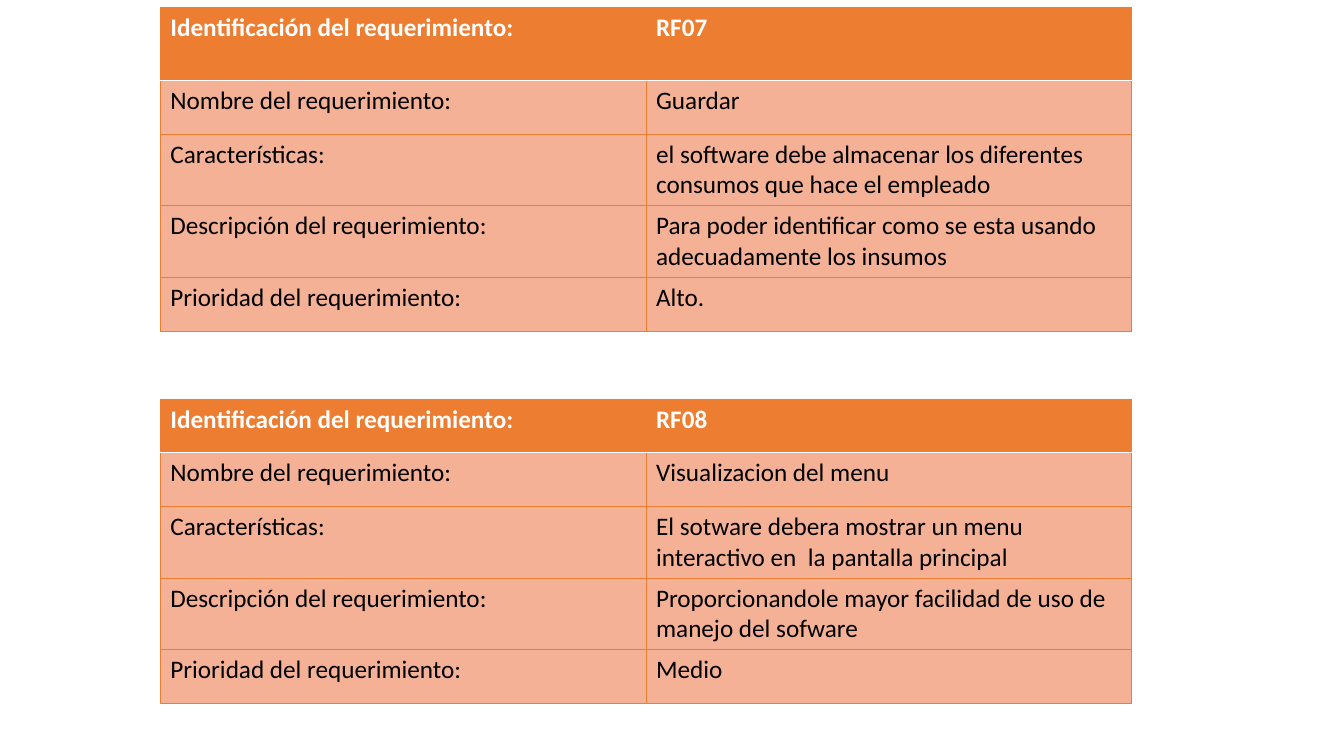
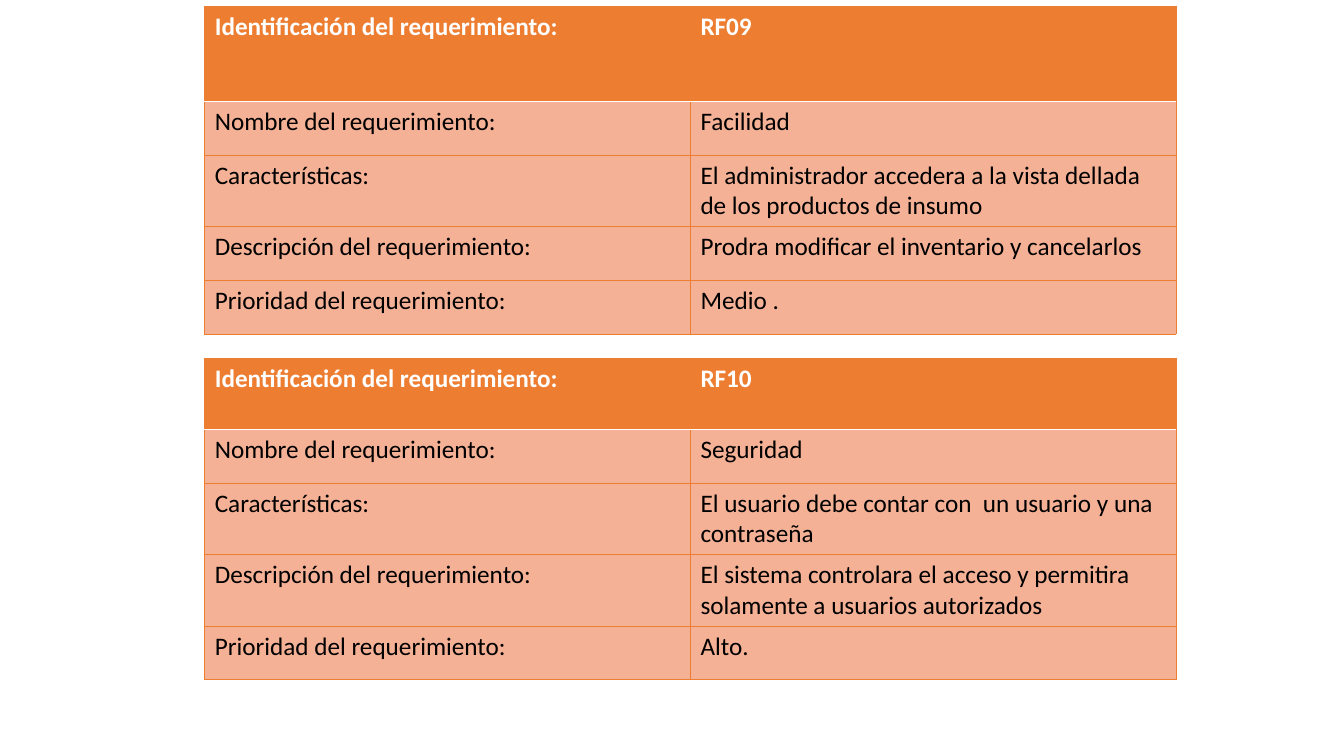
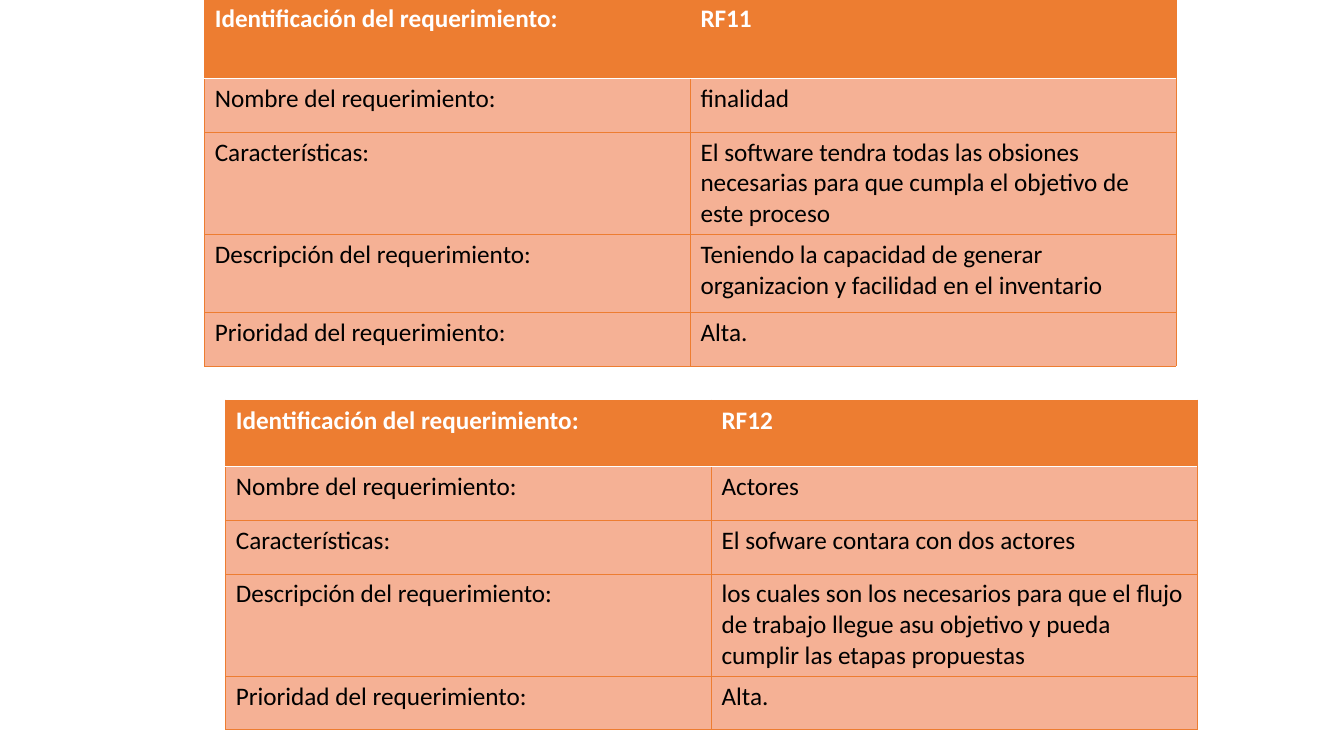
from dataclasses import dataclass

import lxml.etree
import pptx
import pptx.dml.color
import pptx.oxml.ns
import pptx.util

Cm = pptx.util.Cm
Pt = pptx.util.Pt


@dataclass(frozen=True)
class Theme:
    accent: str = "ED7D31"
    body: str = "F5B195"
    light: str = "FFFFFF"
    dark: str = "000000"
    font: str = "Calibri"
    text_size: float = 18
    grid_width: float = 0.5
    rule_width: float = 1


@dataclass(frozen=True)
class Requirement:
    code: str
    title: str
    features: str
    description: str
    priority: str
    left: float
    top: float
    header_height: float
    description_height: float = 1.35


THEME = Theme()
COLUMN_WIDTH = 12.24
ROW_HEIGHT = 1.35
LABELS = (
    "Identificación del requerimiento:",
    "Nombre del requerimiento:",
    "Características:",
    "Descripción del requerimiento:",
    "Prioridad del requerimiento:",
)

SLIDES = (
    (
        Requirement(
            "RF07", "Guardar",
            "el software debe almacenar los diferentes consumos que hace el empleado",
            "Para poder identificar como se esta usando adecuadamente los insumos",
            "Alto.", left=4.04, top=0.18, header_height=1.85),
        Requirement(
            "RF08", "Visualizacion del menu",
            "El sotware debera mostrar un menu interactivo en  la pantalla principal",
            "Proporcionandole mayor facilidad de uso de manejo del sofware",
            "Medio", left=4.04, top=10.06, header_height=1.35),
    ),
    (
        Requirement(
            "RF09", "Facilidad",
            "El administrador accedera a la vista dellada de los productos de insumo",
            "Prodra modificar el inventario y cancelarlos",
            "Medio .", left=5.16, top=0.17, header_height=2.39),
        Requirement(
            "RF10", "Seguridad",
            "El usuario debe contar con  un usuario y una contraseña",
            "El sistema controlara el acceso y permitira solamente a usuarios autorizados",
            "Alto.", left=5.16, top=9.04, header_height=1.78),
    ),
    (
        Requirement(
            "RF11", "finalidad",
            "El software tendra todas las obsiones necesarias para que cumpla el objetivo de este proceso",
            "Teniendo la capacidad de generar organizacion y facilidad en el inventario",
            "Alta.", left=5.16, top=-0.05, header_height=2.03, description_height=1.96),
        Requirement(
            "RF12", "Actores",
            "El sofware contara con dos actores",
            "los cuales son los necesarios para que el flujo de trabajo llegue asu objetivo y pueda cumplir las etapas propuestas",
            "Alta.", left=5.69, top=10.08, header_height=1.68),
    ),
)


def write_text(frame, text: str, *, color: str, bold: bool = False) -> None:
    run = frame.paragraphs[0].add_run()
    run.text = text
    run.font.name = THEME.font
    run.font.size = Pt(THEME.text_size)
    run.font.bold = bold
    run.font.color.rgb = pptx.dml.color.RGBColor.from_string(color)


def set_borders(cell, row: int) -> None:
    grid = (THEME.accent, THEME.grid_width)
    rule = (THEME.light, THEME.rule_width)
    borders = {
        "a:lnL": grid,
        "a:lnR": grid,
        "a:lnT": rule if row == 1 else grid,
        "a:lnB": rule if row == 0 else grid,
    }
    qn = pptx.oxml.ns.qn
    properties = cell._tc.get_or_add_tcPr()
    for position, (tag, (color, width)) in enumerate(borders.items()):
        line = lxml.etree.Element(qn(tag), w=str(int(Pt(width))))
        fill = lxml.etree.SubElement(line, qn("a:solidFill"))
        lxml.etree.SubElement(fill, qn("a:srgbClr"), val=color)
        properties.insert(position, line)


def add_requirement(slide, requirement: Requirement) -> None:
    values = (requirement.code, requirement.title, requirement.features,
              requirement.description, requirement.priority)
    heights = (requirement.header_height, ROW_HEIGHT, ROW_HEIGHT,
               requirement.description_height, ROW_HEIGHT)
    table = slide.shapes.add_table(
        len(LABELS), 2, Cm(requirement.left), Cm(requirement.top),
        Cm(2 * COLUMN_WIDTH), Cm(sum(heights))).table
    table.horz_banding = False
    for column in table.columns:
        column.width = Cm(COLUMN_WIDTH)
    for row, (pair, height) in enumerate(zip(zip(LABELS, values), heights)):
        is_header = row == 0
        table.rows[row].height = Cm(height)
        for column, text in enumerate(pair):
            cell = table.cell(row, column)
            cell.fill.solid()
            cell.fill.fore_color.rgb = pptx.dml.color.RGBColor.from_string(
                THEME.accent if is_header else THEME.body)
            set_borders(cell, row)
            write_text(cell.text_frame, text, bold=is_header,
                       color=THEME.light if is_header else THEME.dark)


def main() -> None:
    deck = pptx.Presentation()
    deck.slide_width, deck.slide_height = Cm(33.87), Cm(19.05)
    blank = deck.slide_layouts[6]
    for requirements in SLIDES:
        slide = deck.slides.add_slide(blank)
        for requirement in requirements:
            add_requirement(slide, requirement)
    deck.save("out.pptx")


if __name__ == "__main__":
    main()
